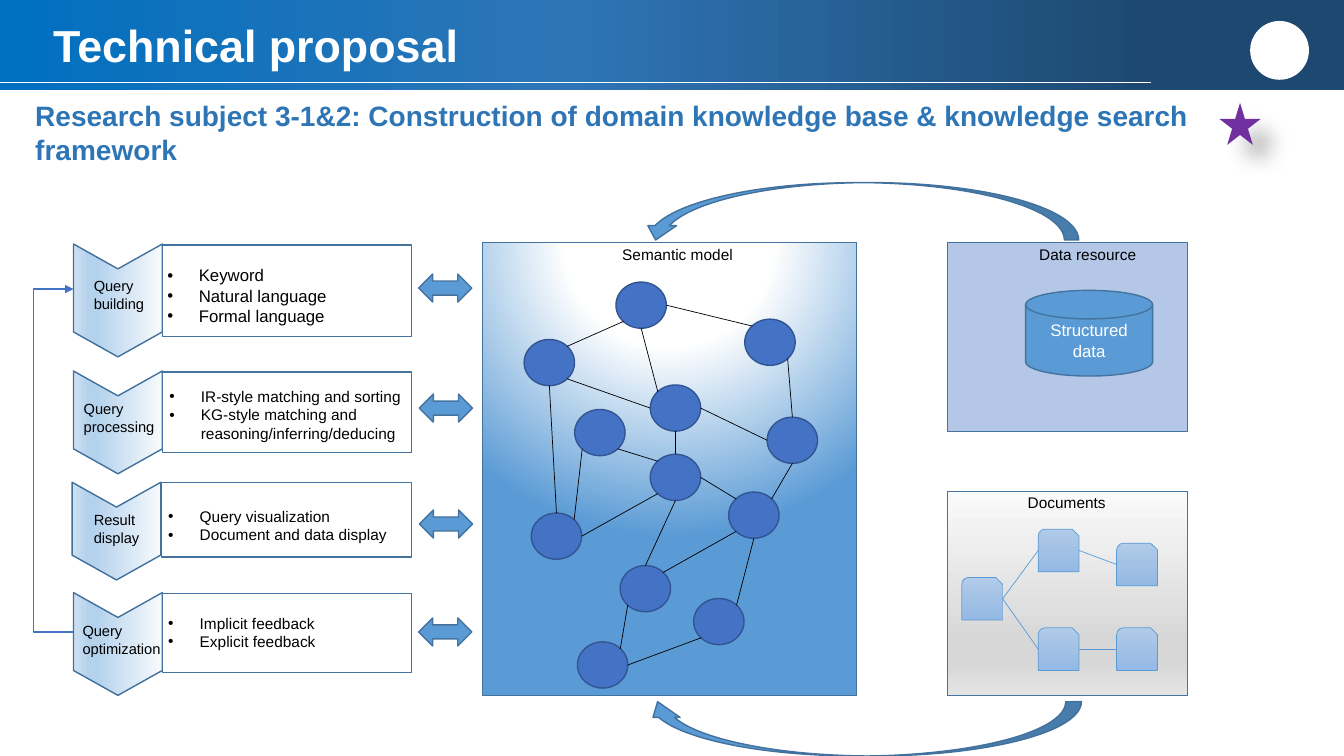
from dataclasses import dataclass
from typing import NamedTuple

from lxml import etree
from pptx import Presentation
from pptx.dml.color import RGBColor
from pptx.enum.shapes import MSO_CONNECTOR, MSO_SHAPE
from pptx.enum.text import MSO_ANCHOR, PP_ALIGN
from pptx.oxml import parse_xml
from pptx.oxml.ns import nsdecls, qn
from pptx.util import Pt

RECT, OVAL, STAR = MSO_SHAPE.RECTANGLE, MSO_SHAPE.OVAL, MSO_SHAPE.STAR_5_POINT
CHEVRON, DISK = MSO_SHAPE.CHEVRON, MSO_SHAPE.FLOWCHART_MAGNETIC_DISK
PAGE, SWAP = MSO_SHAPE.SNIP_ROUND_RECTANGLE, MSO_SHAPE.LEFT_RIGHT_ARROW
ARC_DOWN, ARC_UP = MSO_SHAPE.CURVED_DOWN_ARROW, MSO_SHAPE.CURVED_UP_ARROW
STRAIGHT, ELBOW = MSO_CONNECTOR.STRAIGHT, MSO_CONNECTOR.ELBOW
LEFT, CENTER = PP_ALIGN.LEFT, PP_ALIGN.CENTER
TOP, MIDDLE = MSO_ANCHOR.TOP, MSO_ANCHOR.MIDDLE

WHITE = RGBColor(0xFF, 0xFF, 0xFF)
BLACK = RGBColor(0, 0, 0)
HEAD = RGBColor(0x2E, 0x75, 0xB6)
BLUE = RGBColor(0x5B, 0x9B, 0xD5)
EDGE = RGBColor(0x43, 0x73, 0x9E)
RIM = RGBColor(0x41, 0x71, 0x9C)
NODE = RGBColor(0x44, 0x72, 0xC4)
NODE_RIM = RGBColor(0x32, 0x54, 0x91)
PALE = RGBColor(0xB4, 0xC7, 0xE7)
PURPLE = RGBColor(0x70, 0x30, 0xA0)

LINEAR = '<a:lin ang="{}" scaled="0"/>'
DOWN = LINEAR.format(5400000)
GLOW = ('<a:path path="circle"><a:fillToRect l="50000" t="-80000" '
        'r="50000" b="180000"/></a:path>')


class Box(NamedTuple):
    x: float
    y: float
    w: float
    h: float


class Blend(NamedTuple):
    stops: list[tuple[int, str]]
    way: str = DOWN


@dataclass
class Stage:
    label: str
    label_at: tuple[float, float]
    items: str
    items_at: tuple[float, float]
    size: float
    mid: tuple[float, float]
    length: float
    panel: Box
    swap_at: tuple[float, float]


BAR = Blend([(14, "1D486F"), (58, "2E75B6"), (100, "0070C0")], LINEAR.format(10800000))
ICE = Blend([(0, "F7FAFD"), (74, "B5D2EC"), (83, "B5D2EC"), (100, "CEE1F2")])
GREY = Blend([(0, "FAFAFA"), (74, "D7D7D7"), (83, "D7D7D7"), (100, "E4E4E4")])
SKY = Blend([(0, "B1CBE9"), (50, "A3C1E5"), (100, "93B9E4")])
HALO = Blend([(0, "FFFFFF"), (35, "FFFFFF"), (100, "5B9BD5")], GLOW)

STAGES = [
    Stage("Query\nbuilding", (67, 198), "Keyword\nNatural language\nFormal language",
          (119.5, 189.4), 12, (84.2, 214.6), 80.6, Box(116, 175, 178, 65.5), (299, 195.8)),
    Stage("Query\nprocessing", (59.8, 285.8),
          "IR-style matching and sorting\nKG-style matching and reasoning/inferring/deducing",
          (121, 276.5), 11, (84.2, 301.7), 73.4, Box(116, 265.7, 178, 57.6), (299.5, 281.5)),
    Stage("Result\ndisplay", (67, 365), "Query visualization\nDocument and data display",
          (120.2, 362.2), 11, (83.2, 379.4), 69.8, Box(115.2, 344.5, 178.8, 53.3), (299.5, 364.3)),
    Stage("Query optimization", (59, 444.2), "Implicit feedback\nExplicit feedback",
          (120.2, 438.5), 11, (84.2, 460), 73.4, Box(116, 424, 178, 56.2), (299, 441.4)),
]
NODES = [Box(x, y, 36, 33) for x, y in [
    (440, 201.5), (374.4, 242.5), (532, 228), (464.5, 275), (410.5, 292.5), (464.5, 324.5),
    (548, 298), (520.5, 351.5), (379.5, 366.5), (443, 404), (495.5, 427.5), (412.5, 458.5)]]
LINKS = [
    (0, "SW", 1, "NE"), (0, "E", 2, "NW"), (0, "S", 3, "NW"), (1, "SE", 3, "W"),
    (3, "E", 6, "W"), (3, "S", 5, "N"), (1, "S", 8, "N"), (4, "SE", 5, "NW"),
    (5, "E", 7, "NW"), (6, "S", 7, "NE"), (2, "SE", 6, "N"), (7, "S", 10, "NE"),
    (11, "E", 10, "SW"), (11, "NE", 9, "SW"), (9, "NE", 7, "SW"), (8, "E", 5, "SW"),
    (8, "NE", 4, "SW"), (5, "S", 9, "N")]
PAGES = [Box(x, y, 29.2, 30.4) for x, y in [
    (687, 412.5), (741.6, 378), (797.6, 388), (741.6, 448.5), (797.6, 448.5)]]
PAGE_LINKS = [(0, "E", 1, "W"), (1, "E", 2, "W"), (0, "E", 3, "W"), (3, "E", 4, "W")]
DIAG = 0.35
SITES = {"N": (0, -0.5), "S": (0, 0.5), "W": (-0.5, 0), "E": (0.5, 0),
         "NW": (-DIAG, -DIAG), "NE": (DIAG, -DIAG), "SW": (-DIAG, DIAG), "SE": (DIAG, DIAG)}

deck = Presentation()
deck.slide_width, deck.slide_height = Pt(960), Pt(540)
shapes = deck.slides.add_slide(deck.slide_layouts[6]).shapes


def draw(kind, box: Box, fill: RGBColor | Blend | None = None, rim: RGBColor | None = None,
         weight: float = 1, turn: float = 0, adjust: tuple = ()):
    shape = shapes.add_shape(kind, *map(Pt, box))
    shape.shadow.inherit = False
    shape.rotation = turn
    for i, value in enumerate(adjust):
        shape.adjustments[i] = value
    shape.fill.background()
    if isinstance(fill, Blend):
        stops = "".join(f'<a:gs pos="{pos * 1000}"><a:srgbClr val="{tint}"/></a:gs>'
                        for pos, tint in fill.stops)
        props = shape._element.spPr
        props.replace(props.find(qn("a:noFill")), parse_xml(
            f'<a:gradFill {nsdecls("a")} rotWithShape="1"><a:gsLst>{stops}</a:gsLst>'
            f'{fill.way}</a:gradFill>'))
    elif fill is not None:
        shape.fill.solid()
        shape.fill.fore_color.rgb = fill
    if rim is None:
        shape.line.fill.background()
    else:
        shape.line.color.rgb = rim
        shape.line.width = Pt(weight)
    return shape


def style(frame, text: str, size: float, color: RGBColor, bold: bool = False,
          align=LEFT, anchor=TOP) -> None:
    frame.text = text
    frame.word_wrap = True
    frame.vertical_anchor = anchor
    for para in frame.paragraphs:
        para.alignment = align
        for run in para.runs:
            run.font.name, run.font.size, run.font.bold = "Arial", Pt(size), bold
            run.font.color.rgb = color


def write(box: Box, text: str, size: float, color: RGBColor = BLACK, **look):
    frame = shapes.add_textbox(*map(Pt, box)).text_frame
    frame.margin_left = frame.margin_right = frame.margin_top = frame.margin_bottom = 0
    style(frame, text, size, color, **look)
    return frame


def join(start: tuple, end: tuple, color: RGBColor, weight: float = 0.5, kind=STRAIGHT):
    line = shapes.add_connector(kind, *map(Pt, (*start, *end)))
    line.line.color.rgb = color
    line.line.width = Pt(weight)
    etree.SubElement(line._element.spPr, qn("a:effectLst"))
    return line


def site(box: Box, side: str) -> tuple[float, float]:
    dx, dy = SITES[side]
    return box.x + box.w * (0.5 + dx), box.y + box.h * (0.5 + dy)


def link(boxes: list[Box], links: list[tuple], color: RGBColor) -> None:
    for a, out, b, into in links:
        join(site(boxes[a], out), site(boxes[b], into), color)


# Header, with a plain disc as emblem
draw(RECT, Box(0, 0, 960, 64), BAR)
join((0, 58.5), (822, 58.5), WHITE)
draw(OVAL, Box(893, 15, 42, 42), WHITE)
title = write(Box(38, 17, 793, 35), "Technical proposal", 32, WHITE, bold=True, anchor=MIDDLE)
title.paragraphs[0].line_spacing = 0.9
write(Box(25.2, 70.6, 839, 48), "Research subject 3-1&2: Construction of domain knowledge base "
      "& knowledge search framework", 20, HEAD, bold=True)
star = draw(STAR, Box(871, 73.5, 29.5, 30), PURPLE)
star._element.spPr.find(qn("a:effectLst")).append(parse_xml(
    f'<a:outerShdw {nsdecls("a")} blurRad="{Pt(15)}" dist="{Pt(18)}" dir="2700000">'
    '<a:srgbClr val="000000"><a:alpha val="30000"/></a:srgbClr></a:outerShdw>'))

# Query stages
for stage in STAGES:
    x, y = stage.mid
    draw(CHEVRON, Box(x - stage.length / 2, y - 31.7, stage.length, 63.4), ICE, RIM,
         turn=90, adjust=(0.28,))
    draw(RECT, stage.panel, rim=EDGE)
    write(Box(*stage.label_at, 75, 24), stage.label, 10.5)
    items = write(Box(*stage.items_at, 172, 30), stage.items, stage.size)
    for para in items.paragraphs:
        props = para._p.get_or_add_pPr()
        props.set("marL", str(Pt(22.5)))
        props.set("indent", str(-Pt(22.5)))
        etree.SubElement(props, qn("a:buFont")).set("typeface", "Arial")
        etree.SubElement(props, qn("a:buChar")).set("char", "•")
    draw(SWAP, Box(*stage.swap_at, 38, 20), BLUE, EDGE)

# Feedback loop
loop = join((52, 451.5), (52.5, 206.5), NODE, 1.25, ELBOW)
guide = etree.SubElement(loop._element.spPr.find(qn("a:prstGeom")).find(qn("a:avLst")), qn("a:gd"))
guide.set("name", "adj1")
guide.set("fmla", "val -5500000")
etree.SubElement(loop.line._get_or_add_ln(), qn("a:tailEnd")).set("type", "triangle")

# Semantic model
draw(RECT, Box(344.6, 173.3, 267.2, 323.4), HALO, EDGE)
for node in NODES:
    draw(OVAL, node, NODE, NODE_RIM)
link(NODES, LINKS, BLACK)

# Data and documents
draw(RECT, Box(676.8, 173.3, 171.4, 135), PALE, EDGE)
draw(RECT, Box(676.8, 351, 171.4, 145.7), GREY, EDGE)
for page in PAGES:
    draw(PAGE, page, SKY, BLUE, 0.5)
link(PAGES, PAGE_LINKS, BLUE)
disk = draw(DISK, Box(732.6, 207.4, 90.7, 61.2), BLUE, EDGE)
style(disk.text_frame, "Structured data", 12, WHITE, align=CENTER, anchor=MIDDLE)

# Curved arrows and captions
draw(ARC_DOWN, Box(460, 501.2, 312.5, 38.8), BLUE, RIM, turn=180, adjust=(0.29, 0.5, 0.29))
draw(ARC_UP, Box(458, 130.4, 312.5, 41), BLUE, RIM, turn=180, adjust=(0.25, 0.5, 0.25))
for x, y, text in [(420, 175, "Semantic model"), (713, 175, "Data resource"),
                   (698, 352, "Documents")]:
    write(Box(x, y, 128, 14), text, 11, align=CENTER)

deck.save("out.pptx")
